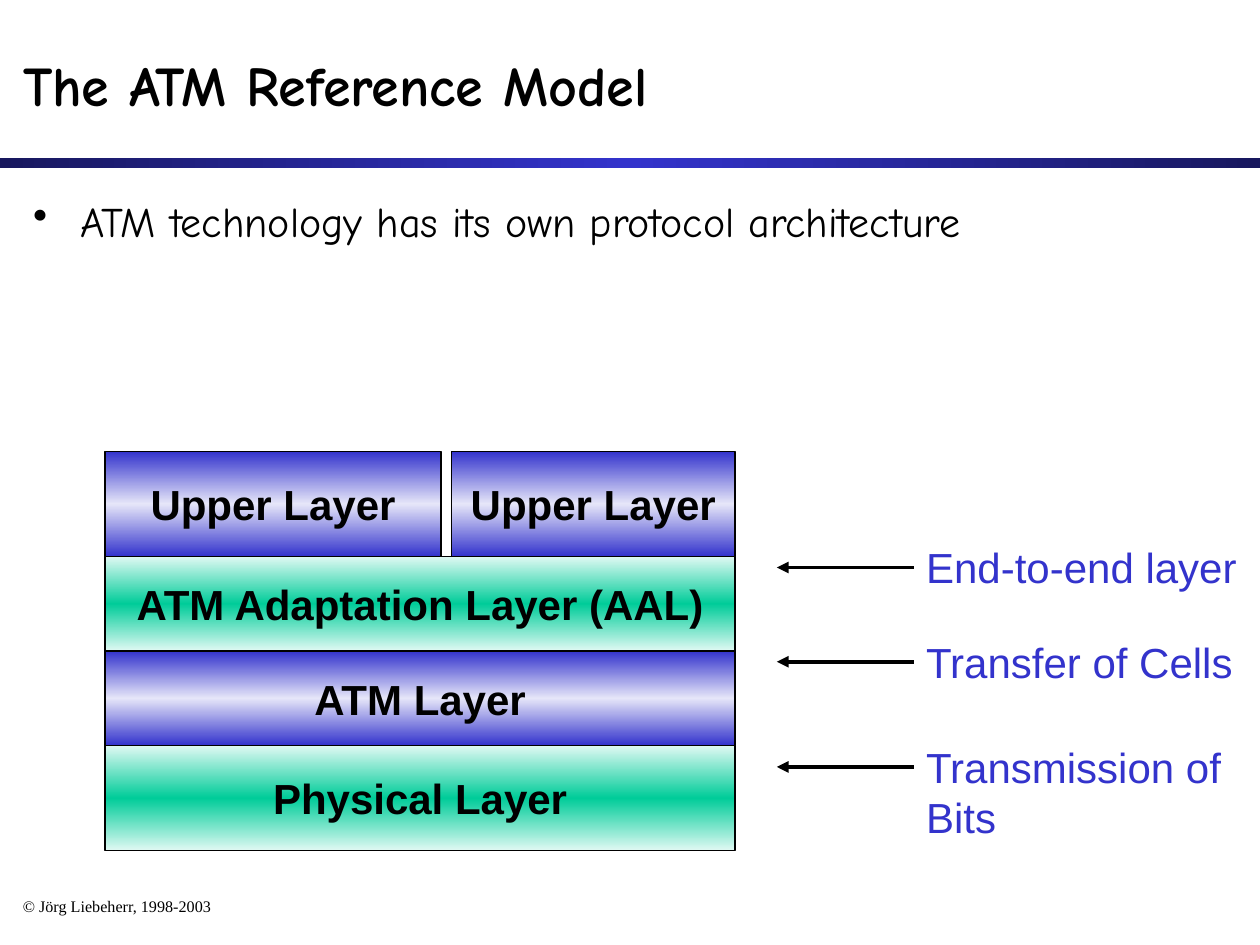
from lxml import etree
from pptx import Presentation
from pptx import util as u
from pptx.dml.color import RGBColor
from pptx.enum import shapes, text
from pptx.oxml import parse_xml
from pptx.oxml.ns import qn

BLUE, BLACK = "3333CC", "000000"
BAR = ("18185E", BLUE, "18185E")
VIOLET = (BLUE, "E6E6F9", BLUE)
GREEN = ("E0F9F3", "00CC99", "E0F9F3")
NS = "http://schemas.openxmlformats.org/drawingml/2006/main"


def rgb(code):
    """Turn a hex string into a colour."""
    return RGBColor.from_string(code)


def box(left, top, wide, high):
    """Turn four lengths in centimetres into a box."""
    return [u.Cm(n) for n in (left, top, wide, high)]


def style(par, face, size, color=BLACK, bold=False):
    """Set the font of a paragraph."""
    font = par.font
    font.name, font.size, font.bold = face, u.Pt(size), bold
    font.color.rgb = rgb(color)


def shade(shape, hues, angle):
    """Fill a shape with a three-stop gradient."""
    shape.fill.gradient()
    shape.fill.gradient_angle = angle
    stops = shape.fill._fill._gradFill.find(qn("a:gsLst"))
    for old in list(stops):
        stops.remove(old)
    for place, hue in zip((0, 50000, 100000), hues):
        stop = etree.SubElement(stops, qn("a:gs"), pos=str(place))
        etree.SubElement(stop, qn("a:srgbClr"), val=hue)


def block(slide, area, hues, angle):
    """Add a rectangle with a gradient fill."""
    rect = slide.shapes.add_shape(shapes.MSO_SHAPE.RECTANGLE, *box(*area))
    rect.shadow.inherit = False
    shade(rect, hues, angle)
    return rect


def note(slide, area, words):
    """Add a wrapping text box and return its paragraph."""
    frame = slide.shapes.add_textbox(*box(*area)).text_frame
    frame.word_wrap = True
    par = frame.paragraphs[0]
    par.text = words
    return par


def header(slide, area, words):
    """Place the title with the bar below it."""
    left, top, wide, high = area
    block(slide, (left, top + 3.18, wide, 0.2), BAR, 0).line.fill.background()
    title = slide.shapes.title
    title.left, title.top, title.width, title.height = box(
        left + 0.21, top + 0.42, wide - 0.42, 2.54)
    frame = title.text_frame
    frame.text = words
    frame.vertical_anchor = text.MSO_ANCHOR.MIDDLE
    par = frame.paragraphs[0]
    par.alignment = text.PP_ALIGN.LEFT
    style(par, "Comic Neue", 32, bold=True)


def point(slide, area, words):
    """Place a bulleted line."""
    par = note(slide, area, words)
    props = par._p.get_or_add_pPr()
    props.set("marL", str(u.Cm(0.95)))
    props.set("indent", str(u.Cm(-0.95)))
    props.append(parse_xml(f'<a:buChar xmlns:a="{NS}" char="•"/>'))
    style(par, "Comic Neue", 24)


def layer(slide, area, words, hues):
    """Place one labelled layer."""
    rect = block(slide, area, hues, 90)
    rect.line.color.rgb = rgb(BLACK)
    rect.line.width = u.Pt(0.75)
    frame = rect.text_frame
    frame.word_wrap = False
    frame.vertical_anchor = text.MSO_ANCHOR.MIDDLE
    par = frame.paragraphs[0]
    par.text = words
    par.alignment = text.PP_ALIGN.CENTER
    style(par, "Arial", 24, bold=True)


def stack(slide, area):
    """Place the layers from top to bottom."""
    left, top, wide, high = area
    tall, low, gap, first = 2.12, (high - 2 * 2.12) / 2, 0.21, 6.77
    shift = first + gap
    layer(slide, (left, top, first, tall), "Upper Layer", VIOLET)
    layer(slide, (left + shift, top, wide - shift, tall), "Upper Layer", VIOLET)
    top += tall
    for words, hues, size in (("ATM Adaptation Layer (AAL)", GREEN, low),
                              ("ATM Layer", VIOLET, low),
                              ("Physical Layer", GREEN, tall)):
        layer(slide, (left, top, wide, size), words, hues)
        top += size


def role(slide, area, words):
    """Place a label with an arrow pointing left from it."""
    left, top, wide, high = area
    reach = 2.76
    ends = [u.Cm(n) for n in (left + reach, top + 0.64, left, top + 0.64)]
    line = slide.shapes.add_connector(shapes.MSO_CONNECTOR.STRAIGHT, *ends)
    line.line.color.rgb = rgb(BLACK)
    line.line.width = u.Pt(2.25)
    etree.SubElement(line.line._get_or_add_ln(), qn("a:tailEnd"), type="triangle")
    etree.SubElement(line._element.spPr, qn("a:effectLst"))
    par = note(slide, (left + reach, top, wide - reach, high), words)
    style(par, "Arial", 24, BLUE)


def footer(slide, area, words):
    """Place the copyright line."""
    par = note(slide, area, words)
    par.line_spacing = 0.9
    style(par, "Times New Roman", 9.2)


def main():
    """Build and save the slide."""
    deck = Presentation()
    deck.slide_width, deck.slide_height = u.Cm(25.4), u.Cm(19.05)
    slide = deck.slides.add_slide(deck.slide_layouts[5])
    header(slide, (0, 0, 25.4, 3.38), "The ATM Reference Model")
    point(slide, (0.42, 3.81, 24.77, 1.9),
          "ATM technology has its own protocol architecture")
    stack(slide, (2.12, 9.1, 12.7, 8.05))
    for top, high, words in ((10.8, 1.27, "End-to-end layer"),
                             (12.7, 1.27, "Transfer of Cells"),
                             (14.82, 2.29, "Transmission of Bits")):
        role(slide, (15.66, top, 9.74, high), words)
    footer(slide, (0.21, 17.99, 7.2, 0.64), "© Jörg Liebeherr, 1998-2003")
    deck.save("out.pptx")


if __name__ == "__main__":
    main()
